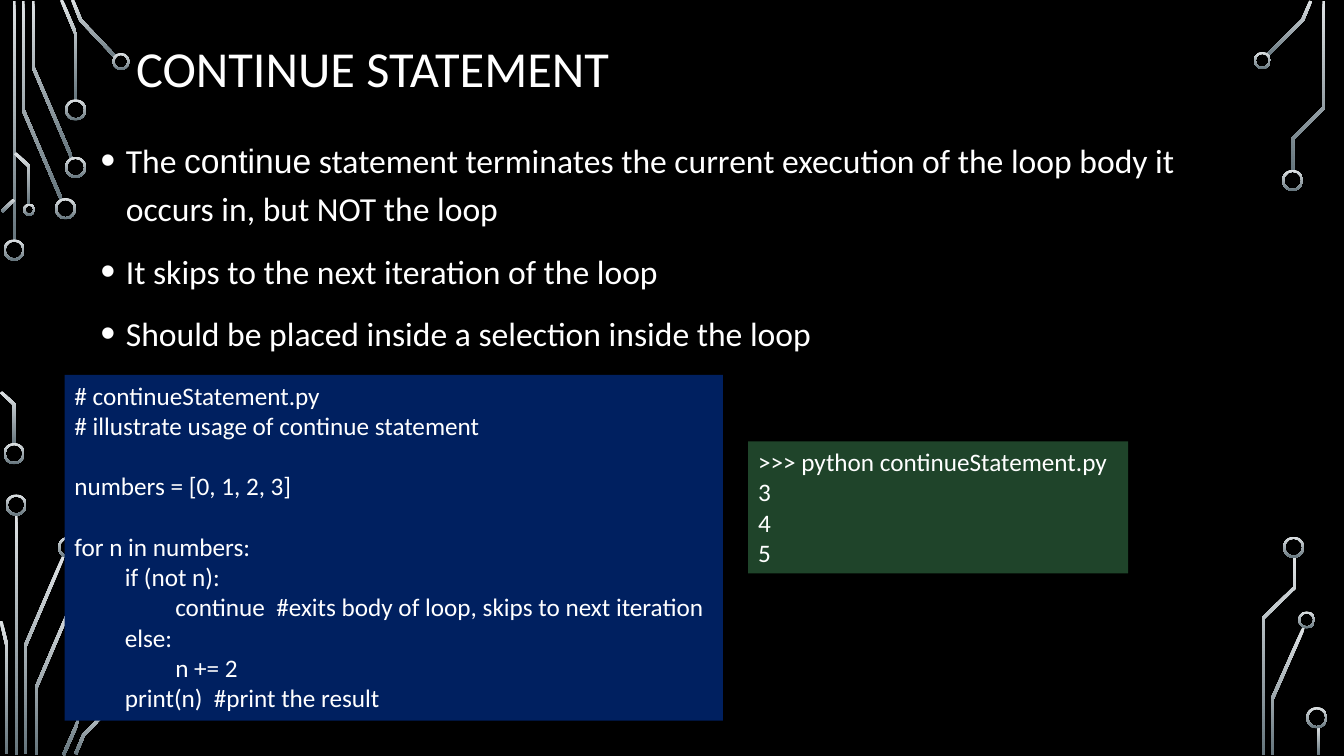
import math
from lxml import etree
from pptx import Presentation, util as u
from pptx.dml.color import RGBColor
from pptx.enum import shapes, text
from pptx.oxml.ns import qn

BLACK = RGBColor(0x00, 0x00, 0x00)
WHITE = RGBColor(0xFF, 0xFF, 0xFF)
NAVY = RGBColor(0x00, 0x20, 0x60)
GREEN = RGBColor(0x1F, 0x44, 0x2A)
SILVER = RGBColor(0xDF, 0xE3, 0xE5)
STEEL = RGBColor(0x65, 0x75, 0x7D)

WIDTH, HEIGHT = 13.33, 7.5
TRACE, RIM, TAB = 0.03, 0.02, 0.5

TITLE = "CONTINUE STATEMENT"
BULLETS = [
    [("The ", "Calibri"), ("continue", "Arial"),
     (" statement terminates the current execution of the loop body it "
      "occurs in, but NOT the loop", "Calibri")],
    [("It skips to the next iteration of the loop", "Calibri")],
    [("Should be placed inside a selection inside the loop", "Calibri")],
]
CODE = """# continueStatement.py
# illustrate usage of continue statement

numbers = [0, 1, 2, 3]

for n in numbers:
\tif (not n):
\t\tcontinue  #exits body of loop, skips to next iteration
\telse:
\t\tn += 2
\tprint(n)  #print the result"""
OUTPUT = """>>> python continueStatement.py
3
4
5"""
PANELS = [
    (CODE, NAVY, (0.64, 3.72, 6.53, 3.43)),
    (OUTPUT, GREEN, (7.42, 4.38, 3.77, 1.31)),
]
TRACES = [
    [(0.14, 0.01), (0.14, 2.4)],
    [(0.23, 0.01), (0.23, 1.09), (0.61, 1.98)],
    [(0.33, 0.01), (0.33, 0.67), (0.71, 1.56)],
    [(0.61, 0), (0.75, 0.33), (0.75, 1)],
    [(0.72, 0), (0.8, 0.2), (1.15, 0.57)],
    [(0.02, 2.1), (0.14, 1.98)],
    [(0.01, 3.89), (0.14, 4.01), (0.14, 4.41)],
    [(0.15, 1.52), (0.29, 1.65), (0.29, 2.03)],
    [(0.16, 5.1), (0.16, 7.49)],
    [(0.25, 7.48), (0.25, 6.41), (0.63, 5.52)],
    [(0.07, 7.48), (0.07, 6.41), (0.01, 6.16)],
    [(0.36, 7.49), (0.36, 6.82), (0.74, 5.93)],
    [(0.63, 7.49), (0.77, 7.17), (0.77, 6.5)],
    [(0.75, 7.48), (0.83, 7.29), (1.18, 6.93)],
    [(12.57, 0.55), (12.92, 0.2), (13, 0.01)],
    [(12.62, 7.49), (12.62, 6.93), (12.93, 6.23)],
    [(12.82, 1.69), (12.82, 1.38), (13.13, 1.07), (13.13, 0.01)],
    [(12.53, 7.49), (12.53, 6.13), (12.84, 5.83), (12.84, 5.52)],
    [(13.08, 7.21), (13.08, 7.49)],
]
NODES = {
    0.21: [(0.14, 2.48), (0.14, 4.5), (0.65, 2.07), (0.75, 1.66),
           (0.75, 1.09), (0.16, 5.01), (0.68, 5.43), (12.82, 1.79),
           (12.83, 5.43), (13.06, 7.12)],
    0.17: [(1.2, 0.61), (12.52, 0.6), (12.96, 6.15)],
    0.12: [(0.29, 2.08)],
}


def place(shape, box):
    shape.left, shape.top, shape.width, shape.height = map(u.Inches, box)


def shade(shape):
    shape.shadow.inherit = False
    shape.line.fill.background()
    shape.fill.gradient()
    shape.fill.gradient_angle = 270
    for stop, color, position in zip(shape.fill.gradient_stops, (SILVER, STEEL), (0, 1)):
        stop.color.rgb, stop.position = color, position


def style(span, size, font="Calibri"):
    span.font.size, span.font.name = u.Pt(size), font
    span.font.color.rgb = WHITE


def outline(points):
    normals = []
    for (x1, y1), (x2, y2) in zip(points, points[1:]):
        length = math.hypot(x2 - x1, y2 - y1)
        normals.append(((y1 - y2) / length, (x2 - x1) / length))
    near, far = [], []
    for (x, y), (ax, ay), (bx, by) in zip(points, normals[:1] + normals, normals + normals[-1:]):
        reach = TRACE / 2 / (1 + ax * bx + ay * by)
        dx, dy = (ax + bx) * reach, (ay + by) * reach
        near.append((u.Inches(x + dx), u.Inches(y + dy)))
        far.append((u.Inches(x - dx), u.Inches(y - dy)))
    return near + far[::-1]


def add_circuit(page):
    for points in TRACES:
        start, *rest = outline(points)
        builder = page.shapes.build_freeform(*start)
        builder.add_line_segments(rest, close=True)
        shade(builder.convert_to_shape())
    for size, centres in NODES.items():
        for x, y in centres:
            box = map(u.Inches, (x - size / 2, y - size / 2, size, size))
            ring = page.shapes.add_shape(shapes.MSO_SHAPE.DONUT, *box)
            ring.adjustments[0] = RIM / size
            shade(ring)


def add_title(page):
    title = page.shapes.title
    place(title, (1.25, -0.1, 10.83, 1.62))
    frame = title.text_frame
    frame.text = TITLE
    frame.word_wrap = True
    frame.auto_size = text.MSO_AUTO_SIZE.NONE
    frame.vertical_anchor = text.MSO_ANCHOR.MIDDLE
    para = frame.paragraphs[0]
    para.alignment, para.line_spacing = text.PP_ALIGN.LEFT, 0.9
    style(para.runs[0], 36)


def add_bullets(page):
    box = page.shapes.add_textbox(*map(u.Inches, (0.9, 1.26, 11.27, 2.4)))
    frame = box.text_frame
    frame.word_wrap = True
    for index, spans in enumerate(BULLETS):
        para = frame.add_paragraph() if index else frame.paragraphs[0]
        props = para._p.get_or_add_pPr()
        props.set("marL", str(u.Inches(0.25)))
        props.set("indent", str(u.Inches(-0.25)))
        etree.SubElement(props, qn("a:buSzPct"), val="125000")
        etree.SubElement(props, qn("a:buFont"), typeface="Arial")
        etree.SubElement(props, qn("a:buChar"), char="•")
        para.line_spacing = 1.2
        if index:
            para.space_before = u.Pt(10)
        for words, font in spans:
            span = para.add_run()
            span.text = words
            style(span, 24, font)


def add_panel(page, words, color, box):
    panel = page.shapes.add_shape(shapes.MSO_SHAPE.RECTANGLE, *map(u.Inches, box))
    panel.shadow.inherit = False
    panel.fill.solid()
    panel.fill.fore_color.rgb = color
    panel.line.fill.background()
    frame = panel.text_frame
    frame.word_wrap = True
    frame.vertical_anchor = text.MSO_ANCHOR.TOP
    frame.text = words
    for para in frame.paragraphs:
        tabs = etree.SubElement(para._p.get_or_add_pPr(), qn("a:tabLst"))
        for step in (1, 2):
            etree.SubElement(tabs, qn("a:tab"), pos=str(u.Inches(TAB * step)), algn="l")
        para.alignment = text.PP_ALIGN.LEFT
        style(para, 18)
        for span in para.runs:
            style(span, 18)


def main():
    deck = Presentation()
    deck.slide_width, deck.slide_height = u.Inches(WIDTH), u.Inches(HEIGHT)
    page = deck.slides.add_slide(deck.slide_layouts[5])
    page.background.fill.solid()
    page.background.fill.fore_color.rgb = BLACK
    add_circuit(page)
    add_title(page)
    add_bullets(page)
    for panel in PANELS:
        add_panel(page, *panel)
    deck.save("out.pptx")


if __name__ == "__main__":
    main()
